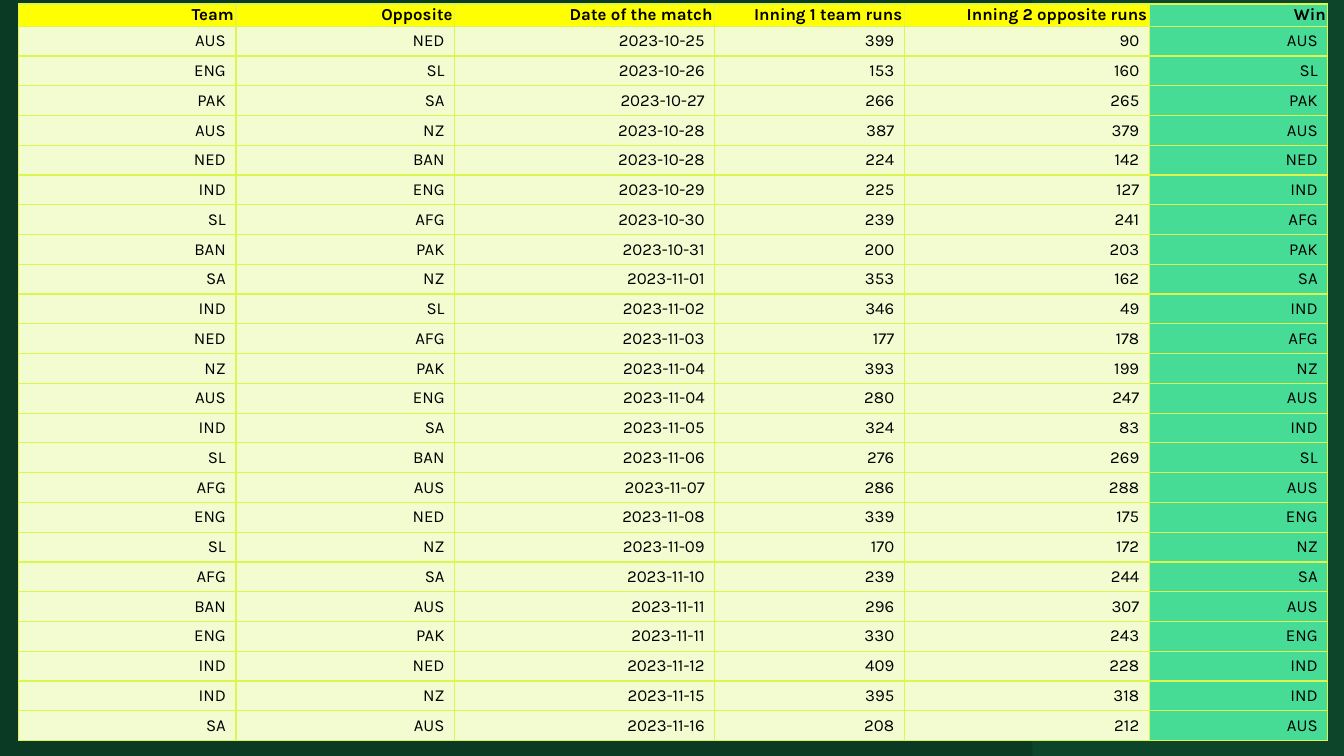
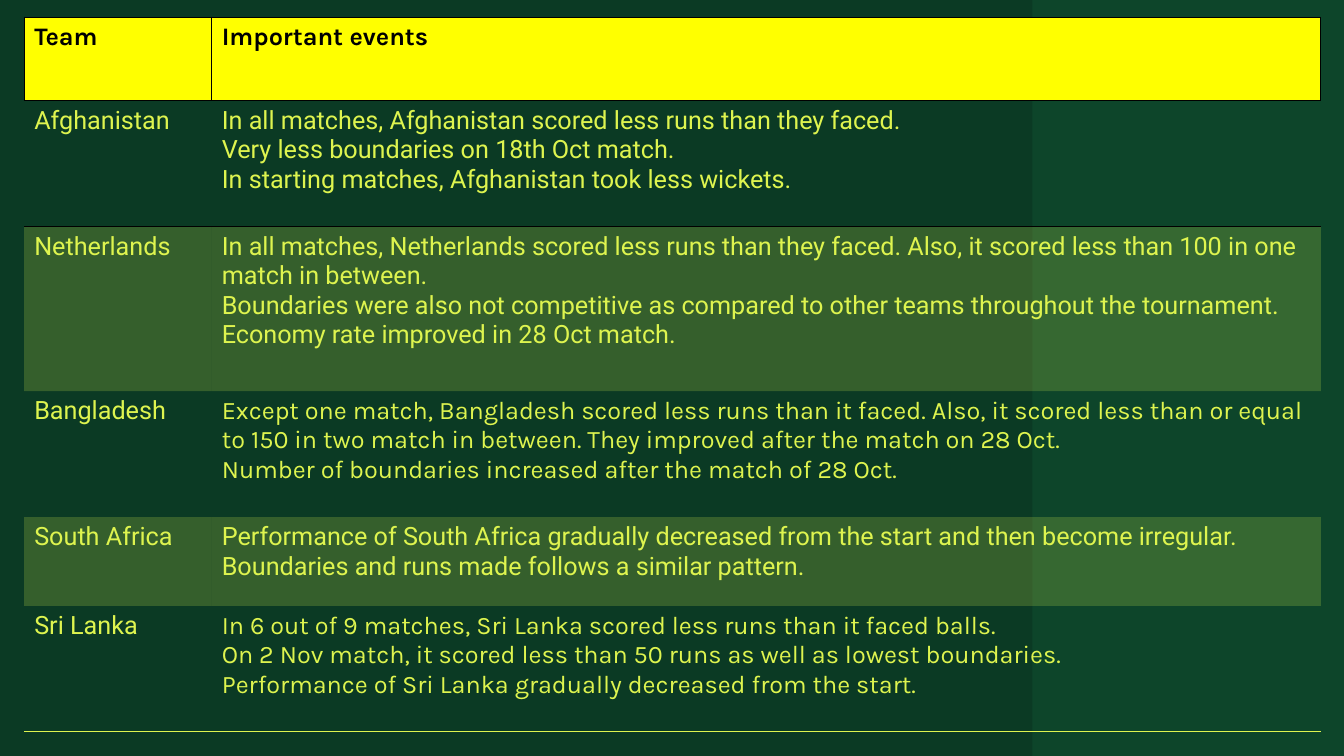
from dataclasses import dataclass

from lxml.etree import SubElement
from pptx import Presentation
from pptx.dml.color import RGBColor
from pptx.enum.shapes import MSO_SHAPE as Preset
from pptx.enum.text import MSO_ANCHOR as Anchor, PP_ALIGN as Align
from pptx.oxml.ns import qn
from pptx.util import Inches, Pt

DARK_GREEN = RGBColor(0x0B, 0x3A, 0x24)
BAND_GREEN = RGBColor(0x12, 0x5F, 0x3B)
WIN_GREEN = RGBColor(0x46, 0xDC, 0x96)
LIME = RGBColor(0xDE, 0xF4, 0x4F)
PALE_LIME = RGBColor(0xF3, 0xFB, 0xD1)
YELLOW = RGBColor(0xFF, 0xFF, 0x00)
BLACK = RGBColor(0x00, 0x00, 0x00)

KARLA = "Karla"
ROBOTO = "Roboto"
NO_STYLE = "{2D5ABB26-0587-4C30-8999-92F81FD0307C}"
ALL_SIDES = "LRTB"

MATCH_WIDTHS = (2.16, 2.17, 2.58, 1.88, 2.43, 1.77)
MATCH_HEADS = ("Team", "Opposite", "Date of the match", "Inning 1 team runs",
               "Inning 2 opposite runs", "Win")
MATCHES = """\
AUS NED 2023-10-25 399 90 AUS
ENG SL 2023-10-26 153 160 SL
PAK SA 2023-10-27 266 265 PAK
AUS NZ 2023-10-28 387 379 AUS
NED BAN 2023-10-28 224 142 NED
IND ENG 2023-10-29 225 127 IND
SL AFG 2023-10-30 239 241 AFG
BAN PAK 2023-10-31 200 203 PAK
SA NZ 2023-11-01 353 162 SA
IND SL 2023-11-02 346 49 IND
NED AFG 2023-11-03 177 178 AFG
NZ PAK 2023-11-04 393 199 NZ
AUS ENG 2023-11-04 280 247 AUS
IND SA 2023-11-05 324 83 IND
SL BAN 2023-11-06 276 269 SL
AFG AUS 2023-11-07 286 288 AUS
ENG NED 2023-11-08 339 175 ENG
SL NZ 2023-11-09 170 172 NZ
AFG SA 2023-11-10 239 244 SA
BAN AUS 2023-11-11 296 307 AUS
ENG PAK 2023-11-11 330 243 ENG
IND NED 2023-11-12 409 228 IND
IND NZ 2023-11-15 395 318 IND
SA AUS 2023-11-16 208 212 AUS"""


@dataclass(frozen=True)
class TextStyle:
    font: str
    size: int
    color: RGBColor = BLACK
    bold: bool = False
    align: Align = Align.LEFT


@dataclass(frozen=True)
class TeamEvents:
    team: str
    events: tuple[str, ...]
    height: float
    font: str = ROBOTO
    shaded: bool = False
    border: RGBColor | None = None
    sides: str = ""


TEAM_EVENTS = (
    TeamEvents("Afghanistan", (
        "In all matches, Afghanistan scored less runs than they faced.",
        "Very less boundaries on 18th Oct match.",
        "In starting matches, Afghanistan took less wickets.",
    ), 1.25, border=BLACK, sides="TB"),
    TeamEvents("Netherlands", (
        "In all matches, Netherlands scored less runs than they faced. "
        "Also, it scored less than 100 in one match in between.",
        "Boundaries were also not competitive as compared to other teams "
        "throughout the tournament.",
        "Economy rate improved in 28 Oct match.",
    ), 1.63, shaded=True),
    TeamEvents("Bangladesh", (
        "Except one match, Bangladesh scored less runs than it faced. "
        "Also, it scored less than or equal to 150 in two match in between. "
        "They improved after the match on 28 Oct.",
        "Number of boundaries increased after the match of 28 Oct.",
    ), 1.25, font=KARLA),
    TeamEvents("South Africa", (
        "Performance of South Africa gradually decreased from the start "
        "and then become irregular.",
        "Boundaries and runs made follows a similar pattern.",
    ), 0.88, shaded=True),
    TeamEvents("Sri Lanka", (
        "In 6 out of 9 matches, Sri Lanka scored less runs than it faced balls.",
        "On 2 Nov match, it scored less than 50 runs as well as lowest boundaries.",
        "Performance of Sri Lanka gradually decreased from the start.",
    ), 1.25, font=KARLA, border=LIME, sides="B"),
)


def set_fill(target, color: RGBColor) -> None:
    target.fill.solid()
    target.fill.fore_color.rgb = color


def set_opacity(properties, percent: int) -> None:
    """Make the solid fill held by a shape's or cell's properties translucent."""
    tone = properties.find(qn("a:solidFill")).find(qn("a:srgbClr"))
    SubElement(tone, qn("a:alpha")).set("val", str(percent * 1000))


def set_borders(cell, color: RGBColor, sides: str) -> None:
    """Draw 1 pt borders; call before filling, as lines precede the fill."""
    properties = cell._tc.get_or_add_tcPr()
    for side in sides:
        line = SubElement(properties, qn(f"a:ln{side}"), w=str(Pt(1)))
        solid = SubElement(line, qn("a:solidFill"))
        SubElement(solid, qn("a:srgbClr"), val=str(color))


def write_cell(cell, text: str, style: TextStyle) -> None:
    cell.text_frame.text = text
    for para in cell.text_frame.paragraphs:
        para.alignment = style.align
        for span in para.runs:
            span.font.name = style.font
            span.font.size = Pt(style.size)
            span.font.bold = style.bold
            span.font.color.rgb = style.color


def add_page(deck):
    """Add a blank slide with the translucent band on its right."""
    page = deck.slides.add_slide(deck.slide_layouts[6])
    band = page.shapes.add_shape(Preset.RECTANGLE, Inches(10.24), 0,
                                 Inches(3.09), deck.slide_height)
    band.shadow.inherit = False
    band.line.fill.background()
    set_fill(band, BAND_GREEN)
    set_opacity(band.element.spPr, 30)
    return page


def add_plain_table(page, left: float, top: float, widths, heights):
    frame = page.shapes.add_table(len(heights), len(widths), Inches(left), Inches(top),
                                  Inches(sum(widths)), Inches(sum(heights)))
    next(frame.element.iter(qn("a:tableStyleId"))).text = NO_STYLE
    table = frame.table
    table.first_row = table.horz_banding = False
    for column, width in zip(table.columns, widths):
        column.width = Inches(width)
    for row, height in zip(table.rows, heights):
        row.height = Inches(height)
    return table


def add_match_page(deck) -> None:
    rows = [MATCH_HEADS, *(line.split() for line in MATCHES.splitlines())]
    heights = [0.22] + [0.29] * (len(rows) - 1)
    table = add_plain_table(add_page(deck), 0.18, 0.04, MATCH_WIDTHS, heights)
    last = len(MATCH_HEADS) - 1
    for r, values in enumerate(rows):
        style = TextStyle(KARLA, 12, bold=r == 0, align=Align.RIGHT)
        for c, value in enumerate(values):
            cell = table.cell(r, c)
            cell.vertical_anchor = Anchor.MIDDLE
            if r == 0:
                cell.margin_left = cell.margin_right = Inches(0.02)
                cell.margin_top = cell.margin_bottom = Inches(0.01)
            write_cell(cell, value, style)
            set_borders(cell, LIME, ALL_SIDES)
            set_fill(cell, WIN_GREEN if c == last else YELLOW if r == 0 else PALE_LIME)


def add_events_page(deck) -> None:
    heights = [0.83] + [entry.height for entry in TEAM_EVENTS]
    table = add_plain_table(add_page(deck), 0.24, 0.17, (1.86, 11), heights)
    for c, head in enumerate(("Team", "Important events")):
        cell = table.cell(0, c)
        write_cell(cell, head, TextStyle(KARLA, 18, bold=True))
        set_borders(cell, BLACK, ALL_SIDES)
        set_fill(cell, YELLOW)
    for r, entry in enumerate(TEAM_EVENTS, start=1):
        texts = ((entry.team, ROBOTO), ("\n".join(entry.events), entry.font))
        for c, (text, font) in enumerate(texts):
            cell = table.cell(r, c)
            write_cell(cell, text, TextStyle(font, 18, LIME))
            if entry.border is not None:
                set_borders(cell, entry.border, entry.sides)
            if entry.shaded:
                set_fill(cell, LIME)
                set_opacity(cell._tc.tcPr, 20)
            else:
                cell.fill.background()


def main() -> None:
    deck = Presentation()
    deck.slide_width, deck.slide_height = Inches(13.33), Inches(7.5)
    set_fill(deck.slide_master.background, DARK_GREEN)
    add_match_page(deck)
    add_events_page(deck)
    deck.save("out.pptx")


if __name__ == "__main__":
    main()
